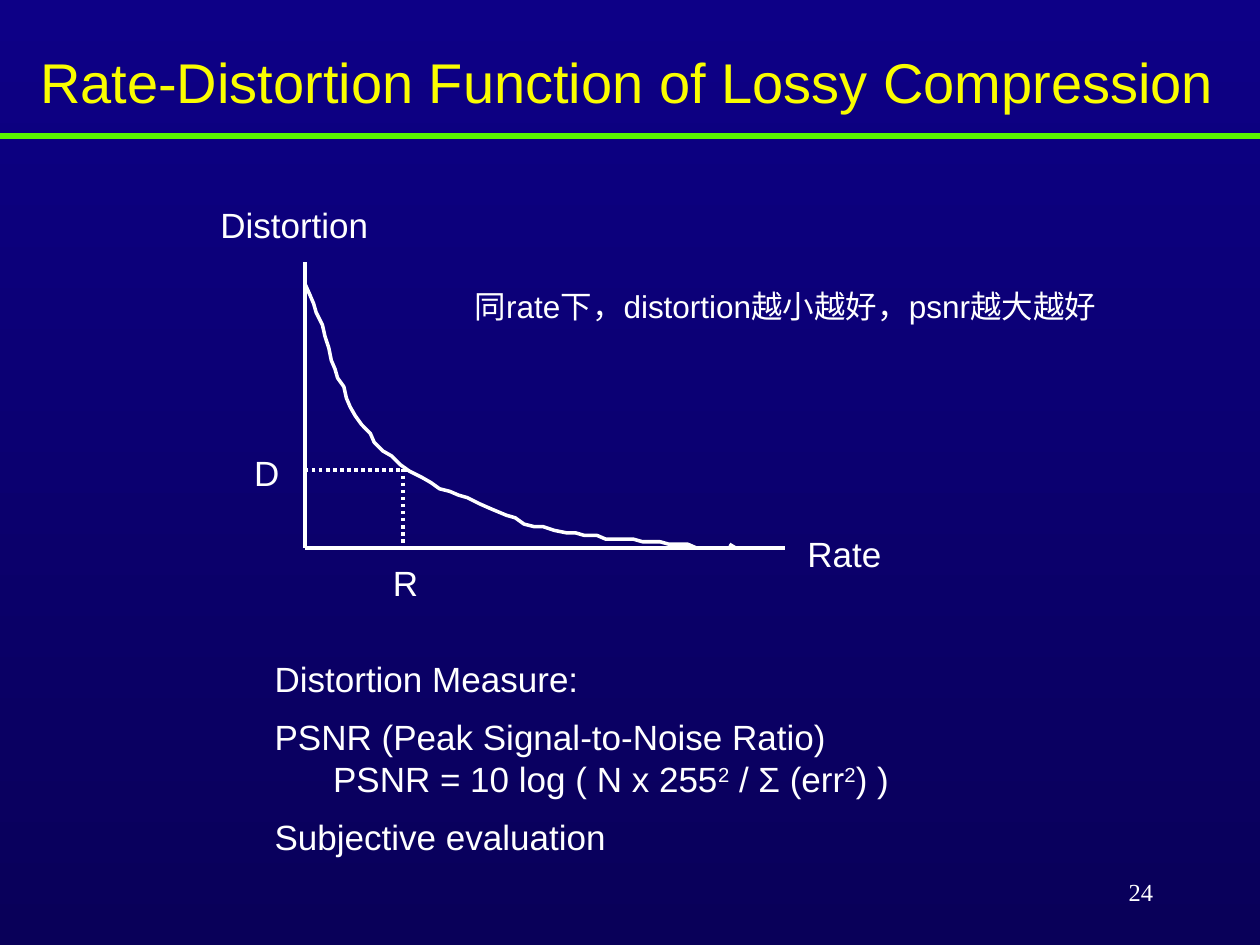
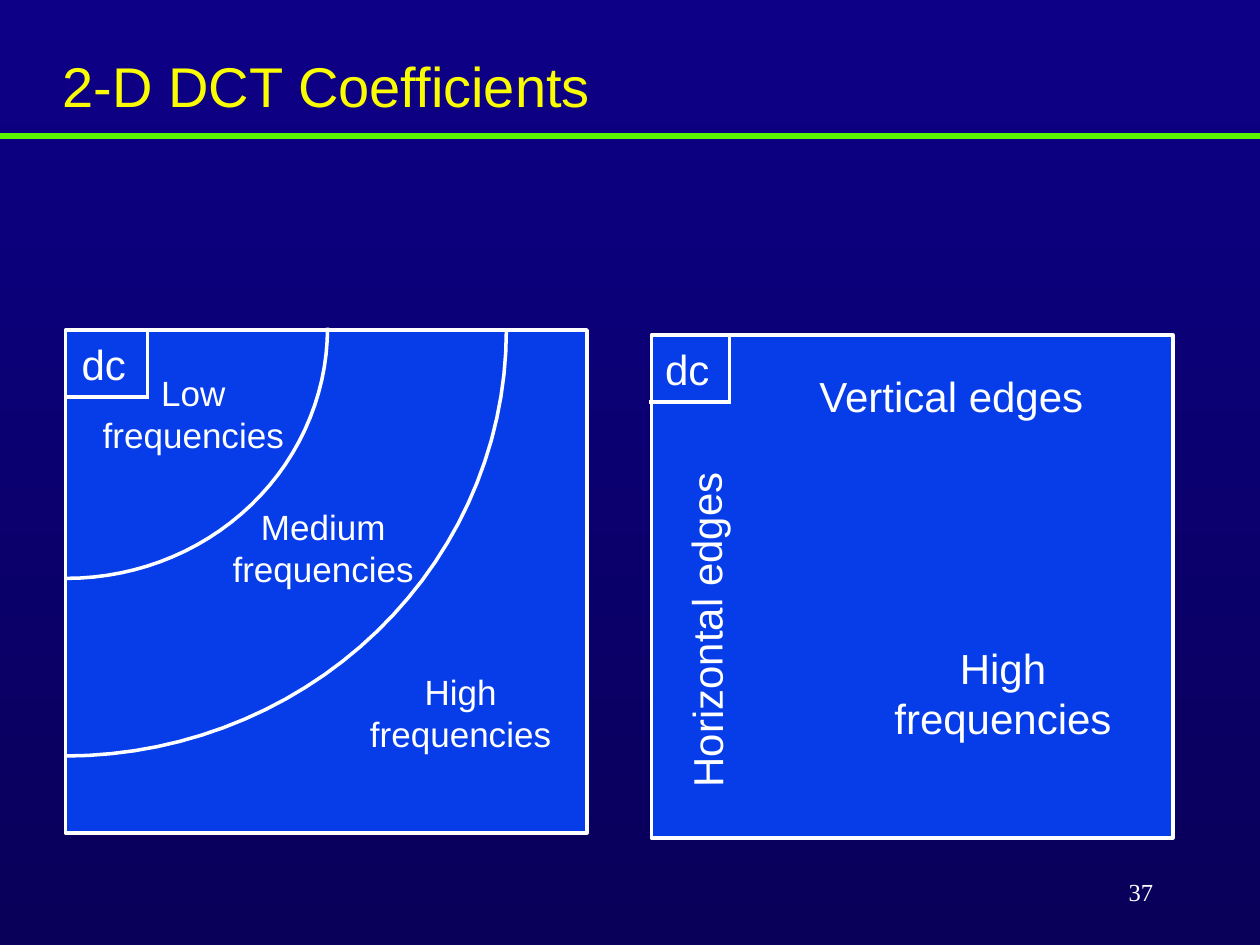
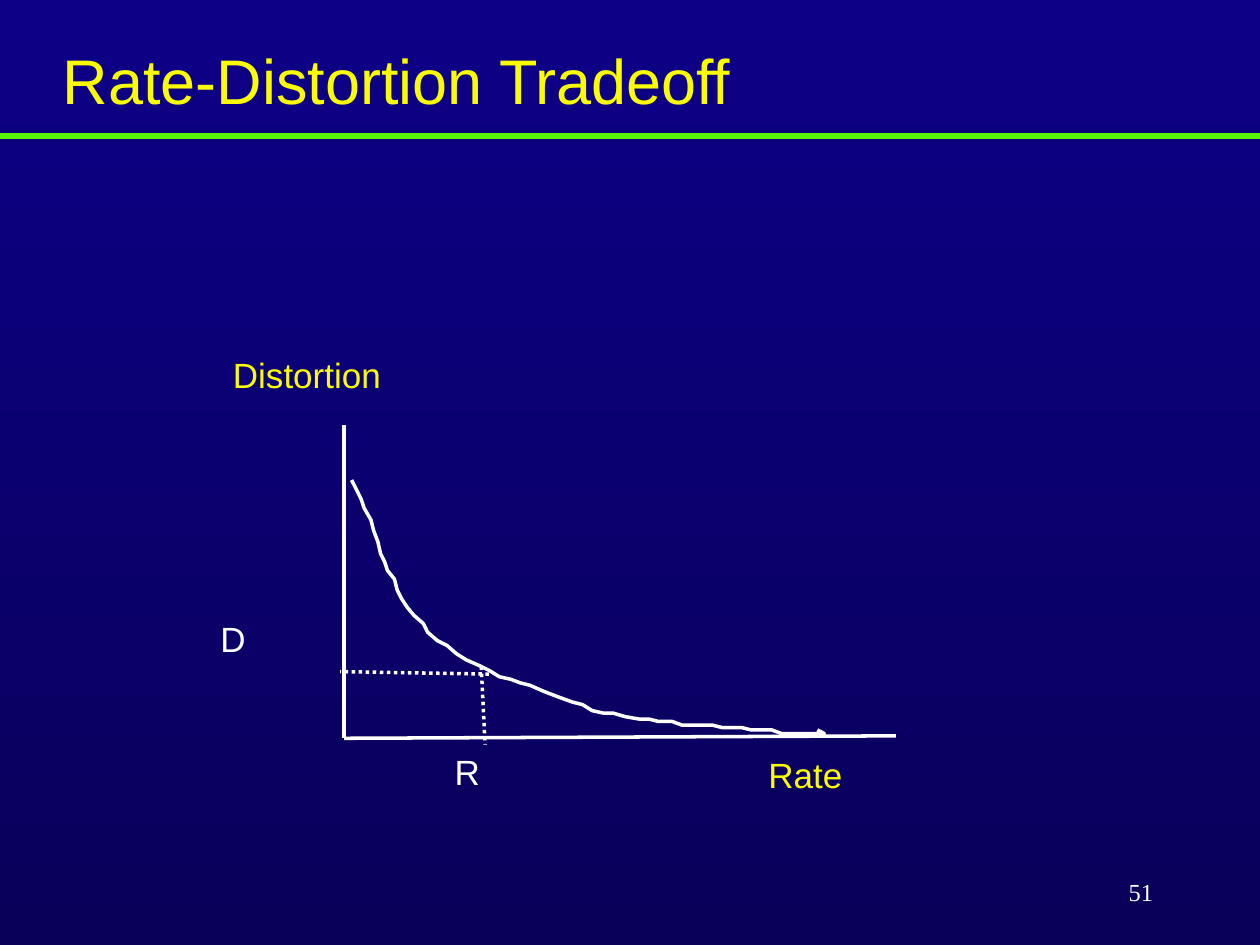
from math import cos, radians, sin

from lxml import etree
from pptx import Presentation
from pptx.dml.color import RGBColor
from pptx.enum.dml import MSO_LINE
from pptx.enum.shapes import MSO_CONNECTOR, MSO_SHAPE
from pptx.enum.text import MSO_ANCHOR, MSO_AUTO_SIZE, PP_ALIGN
from pptx.oxml.ns import qn
from pptx.util import Pt

STRAIGHT = MSO_CONNECTOR.STRAIGHT
RECTANGLE = MSO_SHAPE.RECTANGLE
DOTTED = MSO_LINE.ROUND_DOT
LEFT, CENTER, RIGHT = PP_ALIGN.LEFT, PP_ALIGN.CENTER, PP_ALIGN.RIGHT
TOP, MIDDLE = MSO_ANCHOR.TOP, MSO_ANCHOR.MIDDLE
GROW, FIXED = MSO_AUTO_SIZE.SHAPE_TO_FIT_TEXT, MSO_AUTO_SIZE.NONE

WHITE, YELLOW, GREEN, BLUE = "FFFFFF", "FAFD00", "5AF400", "063DE8"
BACKGROUND = ("0D0086", "090059")
color = RGBColor.from_string


def add_text(slide, text, box, size=20, text_color=WHITE, font_name="Arial", align=LEFT,
             **frame_format):
    shape = slide.shapes.add_textbox(*map(Pt, box))
    frame = shape.text_frame
    frame_values = {"word_wrap": False, "auto_size": GROW, "vertical_anchor": TOP}
    for name, value in (frame_values | frame_format).items():
        setattr(frame, name, value)
    for index, line in enumerate(text.split("\n")):
        paragraph = frame.add_paragraph() if index else frame.paragraphs[0]
        paragraph.alignment = align
        for part, piece in enumerate(line.split("^")):
            run = paragraph.add_run()
            run.text = piece
            for name, value in {"name": font_name, "size": Pt(size)}.items():
                setattr(run.font, name, value)
            run.font.color.rgb = color(text_color)
            if part % 2:
                run.font._element.set("baseline", "30000")
    return shape


def add_line(slide, ends, line_color=WHITE, width=2, dash=None):
    connector = slide.shapes.add_connector(STRAIGHT, *map(Pt, ends))
    etree.SubElement(connector._element.spPr, qn("a:effectLst"))
    connector.line.color.rgb = color(line_color)
    connector.line.width = Pt(width)
    if dash:
        connector.line.dash_style = dash


presentation = Presentation()
presentation.slide_width = Pt(720)
presentation.slide_height = Pt(540)

background_fill = presentation.slide_master.background.fill
background_fill.gradient()
background_fill.gradient_angle = 270
for stop, stop_color in zip(background_fill.gradient_stops, BACKGROUND):
    stop.color.rgb = color(stop_color)

titles = [
    ("Rate-Distortion Function of Lossy Compression", (15.8, 23.8, 690.5, 46.1), 32, "24"),
    ("2-D DCT Coefficients", (28.8, 25.9, 318.2, 46.1), 32, "37"),
    ("Rate-Distortion Tradeoff", (28.8, 20.2, 399.6, 51.1), 36, "51"),
]
slides = []
for title, title_box, title_size, page_number in titles:
    slide = presentation.slides.add_slide(presentation.slide_layouts[6])
    add_line(slide, (0, 77.8, 720, 77.8), GREEN, 3)
    add_text(slide, title, title_box, title_size, YELLOW)
    add_text(slide, page_number, (516.2, 491.8, 149.8, 36), 14, font_name="Times New Roman",
             align=RIGHT, auto_size=FIXED, vertical_anchor=MIDDLE)
    slides.append(slide)
function_slide, dct_slide, tradeoff_slide = slides

curve_points = [
    (0, 0), (4, 9), (7, 16), (9, 23), (14, 33), (16, 42), (19, 51), (21, 61), (24, 68),
    (26, 75), (31, 82), (33, 91), (36, 98), (40, 105), (45, 112), (52, 119), (55, 126),
    (62, 133), (69, 137), (76, 144), (83, 149), (93, 154), (100, 158), (107, 163),
    (115, 165), (122, 168), (129, 170), (139, 175), (148, 179), (160, 184), (167, 186),
    (174, 191), (182, 193), (189, 193), (198, 196), (208, 198), (215, 198), (222, 200),
    (232, 200), (239, 203), (261, 203), (268, 205), (282, 205), (289, 207), (304, 207),
    (311, 210), (342, 210), (337, 207),
]
graphs = [
    {
        "slide": function_slide,
        "axes": [(174.2, 149.8, 174.2, 313.2), (174.2, 313.2, 448.6, 313.2)],
        "guides": [(230.4, 267.8, 230.4, 311.8), (232.6, 268.6, 175, 268.6)],
        "curve_origin": (174.2, 162),
        "curve_scale": (0.72, 0.72),
        "axis_color": WHITE,
        "labels": {"Distortion": (118.8, 113), "Rate": (454.3, 301),
                   "R": (217.4, 317.5), "D": (138.2, 254.2)},
    },
    {
        "slide": tradeoff_slide,
        "axes": [(196.6, 242.6, 196.6, 421.9), (196.6, 421.9, 511.9, 420.5)],
        "guides": [(275, 380.9, 277.2, 425.5), (279.4, 385.2, 194.4, 383.8)],
        "curve_origin": (200.9, 274.3),
        "curve_scale": (0.79, 0.69),
        "axis_color": YELLOW,
        "labels": {"Distortion": (126, 198.7), "Rate": (432, 427),
                   "R": (252.7, 425.5), "D": (118.8, 349.2)},
    },
]
label_widths = {"Distortion": 100.1, "Rate": 57.6, "R": 29.5, "D": 29.5}
outlines = []
for graph in graphs:
    slide = graph["slide"]
    for axis in graph["axes"]:
        add_line(slide, axis)
    builder = slide.shapes.build_freeform(0, 0, scale=tuple(map(Pt, graph["curve_scale"])))
    builder.add_line_segments(curve_points[1:], close=False)
    outlines.append(builder.convert_to_shape(*map(Pt, graph["curve_origin"])))
    for guide in graph["guides"]:
        add_line(slide, guide, dash=DOTTED)
    for label, (left, top) in graph["labels"].items():
        label_color = WHITE if label in ("R", "D") else graph["axis_color"]
        add_text(slide, label, (left, top, label_widths[label], 31.7), text_color=label_color)

measures = add_text(
    function_slide,
    "Distortion Measure:\nPSNR (Peak Signal-to-Noise Ratio)\n"
    "PSNR = 10 log ( N x 255^2^ / Σ (err^2^) )\nSubjective evaluation",
    (149.8, 372.2, 368.6, 123.8))
measure_paragraphs = measures.text_frame.paragraphs
for index in (1, 3):
    measure_paragraphs[index].space_before = Pt(9.2)
measure_paragraphs[2]._p.get_or_add_pPr().set("marL", str(Pt(33.4)))
add_text(function_slide, "同rate下，distortion越小越好，psnr越大越好",
         (264.2, 160.6, 437.8, 28.8), 18, word_wrap=True)

for left, top in [(37.4, 188.6), (372.2, 191.5)]:
    panel = dct_slide.shapes.add_shape(RECTANGLE, Pt(left), Pt(top), Pt(298.1), Pt(287.3))
    panel.shadow.inherit = False
    panel.fill.solid()
    panel.fill.fore_color.rgb = color(BLUE)
    panel.line.color.rgb = color(WHITE)
    panel.line.width = Pt(2)

for center_x, center_y, radius_x, radius_y in [(38.2, 187.2, 149, 143.3),
                                               (37.4, 188.6, 252, 243.4)]:
    arc_points = [(Pt(center_x + radius_x * cos(radians(angle))),
                   Pt(center_y + radius_y * sin(radians(angle)))) for angle in range(0, 91, 3)]
    builder = dct_slide.shapes.build_freeform(*arc_points[0])
    builder.add_line_segments(arc_points[1:], close=False)
    outlines.append(builder.convert_to_shape())

for outline in outlines:
    outline.shadow.inherit = False
    outline.fill.background()
    outline.line.color.rgb = color(WHITE)
    outline.line.width = Pt(2)

for dc_edge in [(37.4, 226.8, 84.2, 226.8), (84.2, 187.2, 84.2, 228.2),
                (370.8, 229.7, 417.6, 229.7), (416.9, 192.2, 416.9, 229)]:
    add_line(dct_slide, dc_edge)
for left, top in [(39.6, 190.1), (373, 193)]:
    add_text(dct_slide, "dc", (left, top, 40.3, 36), 24)
for band, left, top in [("Low", 51.1, 208.8), ("Medium", 125.3, 285.1), ("High", 203.8, 379.4)]:
    add_text(dct_slide, f"{band}\nfrequencies", (left, top, 118.8, 55.4), align=CENTER)
add_text(dct_slide, "High\nfrequencies", (503.3, 363.6, 139.7, 65.5), 24, align=CENTER)
for direction, box, rotation in [("Vertical", (454.3, 208.1, 178.6, 36), 0),
                                 ("Horizontal", (287.3, 342, 231.8, 36), 269.6)]:
    edge_label = add_text(dct_slide, f"{direction} edges", box, 24, align=CENTER, word_wrap=True)
    edge_label.rotation = rotation

presentation.save("out.pptx")
